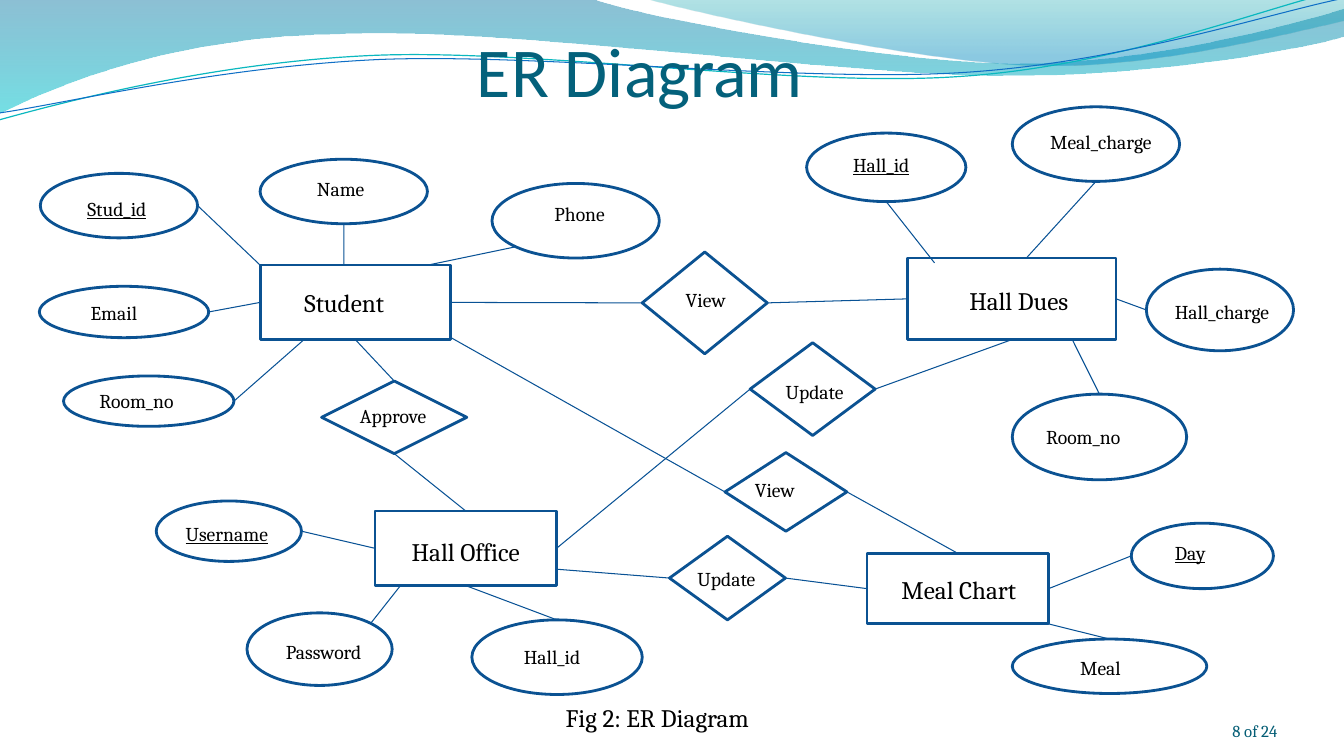
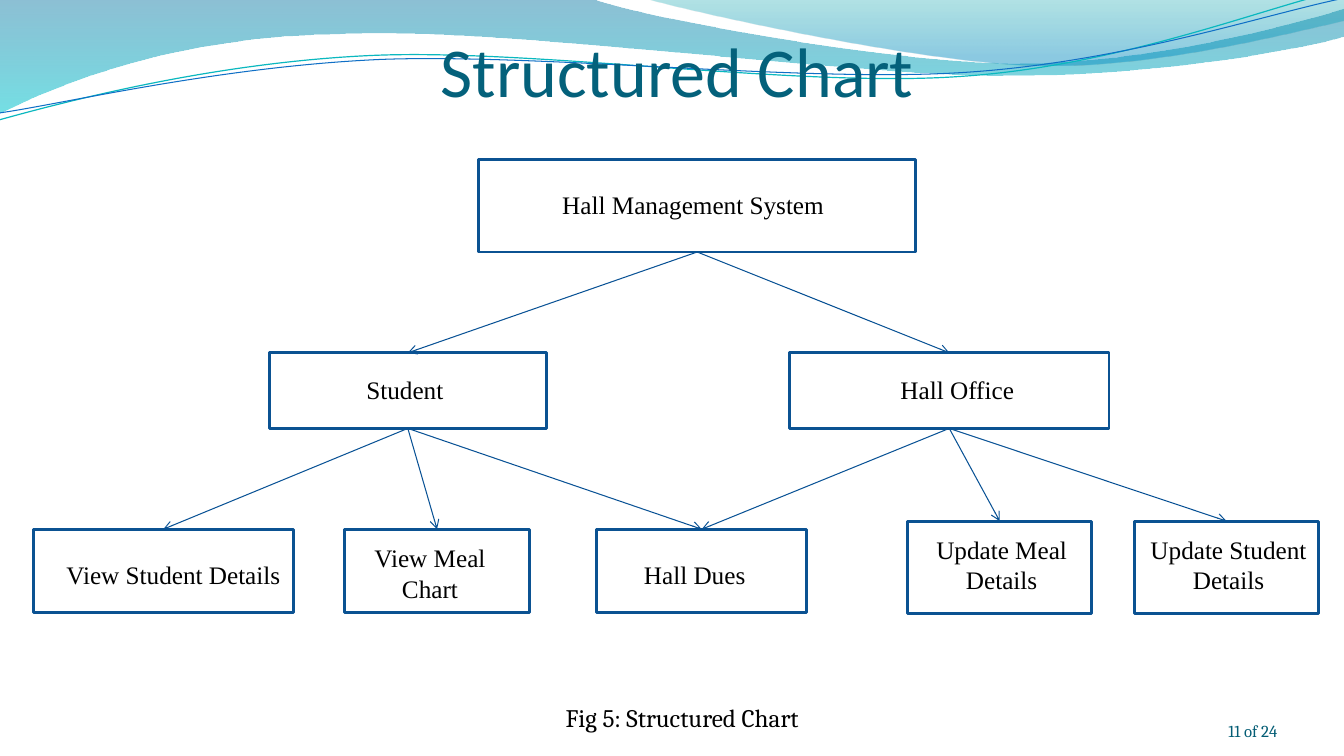
import pptx
import pptx.util
import pptx.dml.color
import pptx.enum.shapes
import pptx.enum.text
import pptx.oxml.ns

inch = pptx.util.Inches
align = pptx.enum.text.PP_ALIGN
anchor = pptx.enum.text.MSO_ANCHOR
kinds = pptx.enum.shapes.MSO_SHAPE
straight = pptx.enum.shapes.MSO_CONNECTOR.STRAIGHT
qn = pptx.oxml.ns.qn
hue = pptx.dml.color.RGBColor.from_string

# Theme: colours, fonts and sizes
theme = {
    "edge": "0B5292", "link": "095295",
    "title": ("Calibri", 50, "04617B"),
    "note": ("Cambria", 18, "000000"),
    "page": ("Cambria", 12, "045D75"),
    "big": ("Cambria", 18, "000000"),
    "small": ("Cambria", 14, "000000"),
    "tree": ("Times New Roman", 18, "000000"),
    "thick": 2, "thin": 0.75,
}

# Wave bands: start point, then lines (2 numbers) or curves (6 numbers)
waves = [
    ((0, 0),
     [(5.87, -0.01), (6.34, 0.17, 8.85, 0.63, 10.11, 0.63),
      (11.38, 0.63, 12.78, 0.26, 13.33, 0.09), (13.35, 0.36),
      (13.11, 0.44, 11.6, 0.76, 9.94, 0.75),
      (8.29, 0.75, 5.09, 0.28, 3.43, 0.34),
      (1.72, 0.36, 0.61, 0.83, -0.01, 1.13), (0, 0)],
     [(0, "0074A1", 45), (1, "00C6CF", 55)], None),
    ((6.39, -0.01),
     [(6.79, 0.11, 9.09, 0.62, 10.25, 0.65),
      (11.41, 0.69, 12.82, 0.32, 13.33, 0.21), (13.33, 0), (6.39, -0.01)],
     [(0, "00A1A9", 30), (0.8, "008BBF", 45)], None),
    ((-0.01, 1.19),
     [(0.64, 1.01, 2.11, 0.62, 3.69, 0.55),
      (5.27, 0.48, 7.9, 0.87, 9.5, 0.76),
      (11.1, 0.66, 12.52, 0.08, 13.31, -0.1)],
     None, ("0AB8BF", 0.85)),
    ((0, 1.12),
     [(0.63, 1.03, 2.18, 0.66, 3.78, 0.59),
      (5.37, 0.53, 7.96, 0.82, 9.55, 0.72),
      (11.15, 0.62, 12.55, 0.14, 13.34, -0.02)],
     None, ("0F6FC6", 0.75)),
]

# Nodes: key, kind, left, top, width, height, label, label shift x and y
er_nodes = [
    ("student", "rect", 2.58, 2.63, 1.89, 0.74, "Student", -0.11, 0),
    ("dues", "rect", 9, 2.56, 2.07, 0.81, "Hall Dues", 0.07, 0.02),
    ("chart", "rect", 8.6, 5.49, 1.8, 0.7, "Meal Chart", 0.01, 0.01),
    ("office", "rect", 3.72, 5.07, 1.8, 0.74, "Hall Office", 0, 0.03),
    ("stud id", "oval key", 0.4, 1.72, 1.56, 0.64, "Stud_id", -0.02, 0.03),
    ("name", "oval", 2.58, 1.58, 1.66, 0.64, "Name", -0.03, -0.03),
    ("email", "oval", 0.39, 2.84, 1.68, 0.51, "Email", -0.1, 0.01),
    ("room", "oval", 0.63, 3.73, 1.69, 0.5, "Room_no", -0.12, 0),
    ("phone", "oval", 4.88, 1.82, 1.66, 0.74, "Phone", 0.04, -0.07),
    ("hall id", "oval key", 8, 1.32, 1.58, 0.68, "Hall_id", -0.05, -0.03),
    ("meal fee", "oval", 10.04, 1.06, 1.66, 0.74, "Meal_charge", 0.05, -0.02),
    ("due room", "oval", 10.04, 3.91, 1.73, 0.85, "Room_no", -0.16, 0),
    ("hall fee", "oval", 11.37, 2.67, 1.46, 0.81, "Hall_charge", 0.02, 0.02),
    ("user", "oval key", 1.55, 4.97, 1.44, 0.6, "Username", -0.02, 0.02),
    ("pass", "oval", 2.45, 6.08, 1.44, 0.72, "Password", 0.04, 0.02),
    ("desk id", "oval", 4.68, 6.15, 1.69, 0.74, "Hall_id", -0.05, -0.01),
    ("day", "oval key", 11.22, 5.19, 1.41, 0.65, "Day", -0.12, -0.03),
    ("meal", "oval", 10.04, 6.34, 1.93, 0.54, "Meal", -0.09, 0.01),
    ("view due", "rhomb", 6.37, 2.5, 1.24, 1.01, "View", 0.01, -0.03),
    ("approve", "rhomb", 3.19, 3.78, 1.44, 0.72, "Approve", -0.01, -0.02),
    ("set due", "rhomb", 7.44, 3.4, 1.24, 0.92, "Update", 0.02, 0.03),
    ("view meal", "rhomb", 7.19, 4.49, 1.21, 0.78, "View", -0.11, -0.02),
    ("set meal", "rhomb", 6.64, 5.32, 1.15, 0.83, "Update", -0.01, 0.01),
]
# Links: key and side at each end, or key and shares of its width and height
er_links = [
    ("stud id", "e", "student", (0, 0)), ("name", "s", "student", (0.44, 0)),
    ("phone", (0.14, 0.85), "student", (0.88, 0)),
    ("email", "e", "student", "w"), ("room", "e", "student", (0.23, 1)),
    ("student", "e", "view due", "w"), ("view due", "e", "dues", "w"),
    ("approve", "n", "student", "s"), ("approve", "s", "office", "n"),
    ("set due", "w", "office", "e"), ("set due", "e", "dues", "s"),
    ("hall id", "s", "dues", (0.13, 0.06)),
    ("meal fee", "s", "dues", (0.57, 0)), ("hall fee", "w", "dues", "e"),
    ("due room", "n", "dues", (0.79, 1)), ("user", "e", "office", "w"),
    ("pass", (0.85, 0.15), "office", (0.14, 1)),
    ("desk id", "n", "office", "s"),
    ("office", (1, 0.78), "set meal", "w"), ("set meal", "e", "chart", "w"),
    ("chart", (1, 1), "meal", "n"), ("chart", "e", "day", "w"),
    ("view meal", "w", "student", (1, 0.97)), ("view meal", "e", "chart", "n"),
]

tree_nodes = [
    ("root", "tree", 4.75, 1.58, 4.33, 0.92, "Hall Management System", -0.04, -0.01),
    ("student", "tree", 2.67, 3.5, 2.75, 0.75, "Student", -0.03, -0.01),
    ("office", "tree", 7.83, 3.5, 3.17, 0.75, "Hall Office", 0.08, -0.01),
    ("see info", "tree", 0.33, 5.25, 2.58, 0.83, "View Student Details", 0.1, 0.03),
    ("see meal", "tree", 3.42, 5.25, 1.83, 0.83, "View Meal\nChart", -0.07, 0.02),
    ("dues", "tree", 5.92, 5.25, 2.08, 0.83, "Hall Dues", -0.07, 0.03),
    ("set meal", "tree", 9, 5.17, 1.83, 0.92, "Update Meal\nDetails", 0.02, -0.03),
    ("set info", "tree", 11.25, 5.17, 1.83, 0.92, "Update Student\nDetails", 0.02, -0.03),
]
kids = {"root": ["student", "office"],
        "student": ["see info", "see meal", "dues"],
        "office": ["dues", "set meal", "set info"]}
tree_links = [(top, "s", kid, "n") for top in kids for kid in kids[top]]

# Pages: title, title left, title width, text indent, caption, number, ...
pages = [
    ("ER Diagram", 2.83, 7.52, 1.9, "Fig 2: ER Diagram", "8 of 24",
     er_nodes, er_links, False),
    ("Structured Chart", 0.92, 9.44, 3.45, "Fig 5: Structured Chart",
     "11 of 24", tree_nodes, tree_links, True),
]
forms = {"rect": (kinds.RECTANGLE, "big"), "tree": (kinds.RECTANGLE, "tree"),
         "oval": (kinds.OVAL, "small"),
         "rhomb": (kinds.FLOWCHART_DECISION, "small")}
sides = {"n": 0, "w": 1, "s": 2, "e": 3}


def write(shape, text, style, side, insets, hold, under=False):
    """Fill a shape with styled text; insets are left, top, right, bottom."""
    frame = shape.text_frame
    frame.vertical_anchor = hold
    (frame.margin_left, frame.margin_top,
     frame.margin_right, frame.margin_bottom) = [inch(v) for v in insets]
    font, size, ink = theme[style]
    for n, words in enumerate(text.split("\n")):
        para = frame.add_paragraph() if n else frame.paragraphs[0]
        para.alignment = side
        run = para.add_run()
        run.text = words
        run.font.name, run.font.size = font, pptx.util.Pt(size)
        run.font.color.rgb = hue(ink)
        if under:
            run.font.underline = True
    return frame


def sub(parent, tag, **attrs):
    """Append a drawing element to its parent."""
    node = parent.makeelement(qn(tag), attrs)
    parent.append(node)
    return node


deck = pptx.Presentation()
deck.slide_width, deck.slide_height = inch(13.33), inch(7.5)
blank = deck.slide_layouts[6]
for holder in list(blank.placeholders):
    blank.shapes.element.remove(holder.element)
slides = [deck.slides.add_slide(blank) for page in pages]

# Waves, drawn once and kept on the shared layout
for start, steps, stops, pen in waves:
    dots = [start] + [step[n:n + 2] for step in steps
                      for n in range(0, len(step), 2)]
    mils = [(x * 1000, y * 1000) for x, y in dots]
    build = slides[0].shapes.build_freeform(*mils[0], scale=914.4)
    build.add_line_segments(mils[1:], close=bool(stops))
    wave = build.convert_to_shape()
    wave.shadow.inherit = False

    # Turn each run of three control points into one curve
    legs = iter(list(wave.element.iter(qn("a:lnTo"))))
    for step in steps:
        leg = next(legs)
        if len(step) == 6:
            curve = leg.makeelement(qn("a:cubicBezTo"), {})
            leg.addprevious(curve)
            for part in (leg, next(legs), next(legs)):
                curve.append(part[0])
                part.getparent().remove(part)

    if stops:
        wave.line.fill.background()
        wave.fill.gradient()
        wave.fill.gradient_angle = 270
        for stop, (place, tint, alpha) in zip(wave.fill.gradient_stops, stops):
            stop.position = place
            stop.color.rgb = hue(tint)
        for tone, stop in zip(wave.element.iter(qn("a:srgbClr")), stops):
            sub(tone, "a:alpha", val=str(stop[2] * 1000))
    else:
        wave.fill.background()
        wave.line.color.rgb = hue(pen[0])
        wave.line.width = pptx.util.Pt(pen[1])
    blank.shapes.element.append(wave.element)

for slide, page in zip(slides, pages):
    title, left, wide, gap, note, number, nodes, links, arrow = page
    # Title, caption and page number
    for text, style, spot, side, insets, hold in [
            (title, "title", (left, 0.25, wide, 0.86), align.LEFT,
             (gap, 0.01, 0, 0), anchor.BOTTOM),
            (note, "note", (4.42, 6.92, 5.5, 0.4), align.LEFT,
             (1.19, 0.05, 0.1, 0.05), anchor.TOP),
            (number, "page", (11.56, 6.95, 1.11, 0.4), align.RIGHT,
             (0, 0, 0, 0), anchor.BOTTOM)]:
        box = slide.shapes.add_textbox(*[inch(v) for v in spot])
        write(box, text, style, side, insets, hold).word_wrap = True

    # Nodes, each with its own label
    shapes = {}
    for key, kind, x, y, w, h, label, dx, dy in nodes:
        form, style = forms[kind.split()[0]]
        shape = slide.shapes.add_shape(form, *[inch(v) for v in (x, y, w, h)])
        shape.shadow.inherit = False
        shape.fill.background()
        shape.line.color.rgb = hue(theme["edge"])
        shape.line.width = pptx.util.Pt(theme["thick"])
        insets = [max(0, 2 * v) for v in (dx, dy, -dx, -dy)]
        write(shape, label, style, align.CENTER, insets, anchor.MIDDLE,
              kind.endswith("key")).word_wrap = False
        shapes[key] = shape

    # Links, glued wherever they meet the middle of a side
    for one, exit, two, entry in links:
        line = slide.shapes.add_connector(straight, 0, 0, 0, 0)
        for key, place, tag in ((one, exit, "st"), (two, entry, "end")):
            node, first = shapes[key], tag == "st"
            if place in sides:
                glue = line.begin_connect if first else line.end_connect
                glue(node, sides[place])
                if node.auto_shape_type == kinds.OVAL:
                    for mark in line.element.iter(qn(f"a:{tag}Cxn")):
                        mark.set("idx", str(2 * sides[place]))
                continue
            x = int(node.left + place[0] * node.width)
            y = int(node.top + place[1] * node.height)
            if first:
                line.begin_x, line.begin_y = x, y
            else:
                line.end_x, line.end_y = x, y
        line.line.color.rgb = hue(theme["link"])
        line.line.width = pptx.util.Pt(theme["thin"])
        if arrow:
            sub(line.element.spPr.find(qn("a:ln")), "a:tailEnd", type="arrow")
        sub(line.element.spPr, "a:effectLst")

deck.save("out.pptx")
